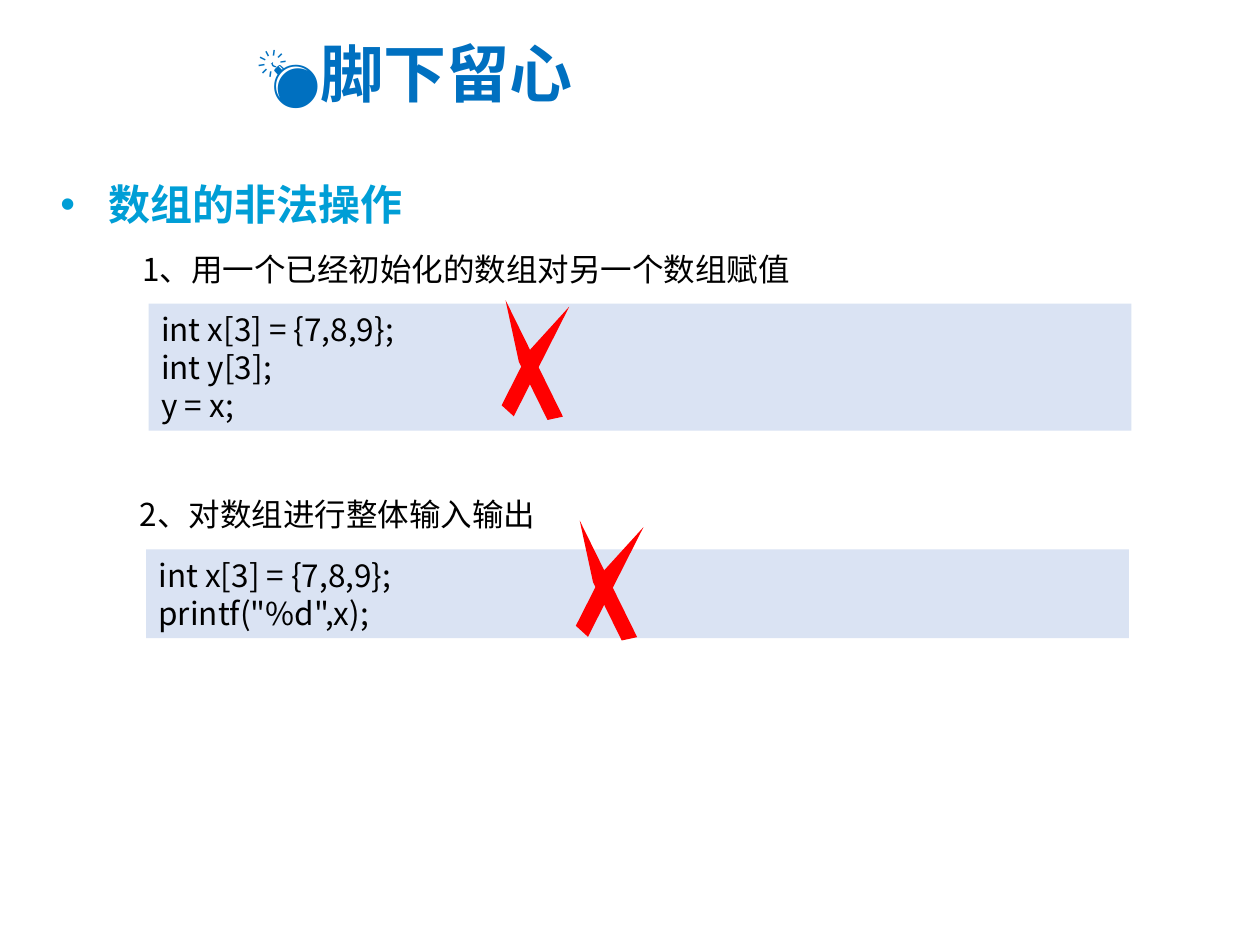
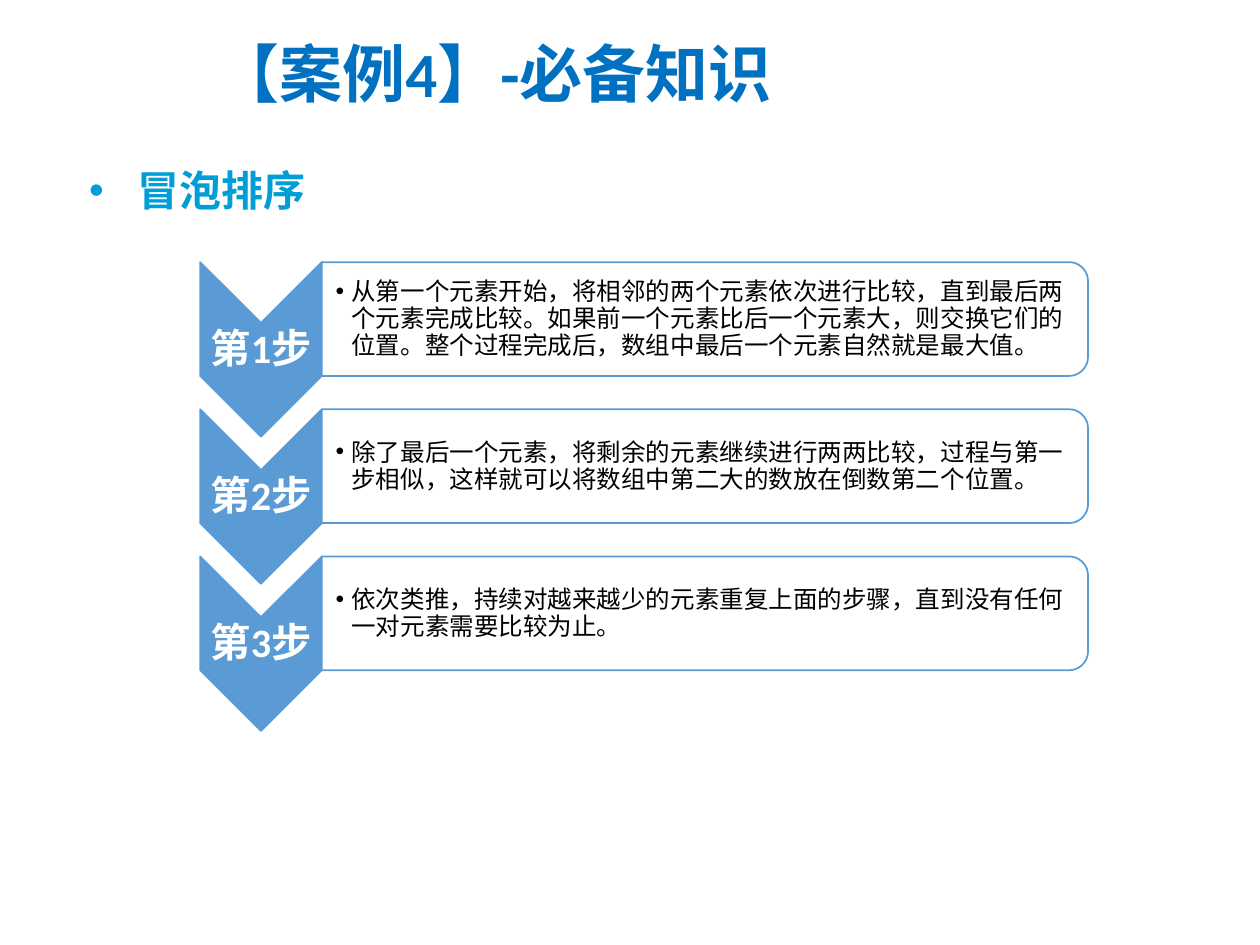
import math

from lxml import etree
from pptx import Presentation
from pptx.dml.color import RGBColor
from pptx.enum.shapes import MSO_SHAPE
from pptx.enum.text import MSO_ANCHOR, PP_ALIGN
from pptx.oxml.ns import qn
from pptx.util import Pt

RECT, STRIPE = MSO_SHAPE.RECTANGLE, MSO_SHAPE.DIAGONAL_STRIPE
TOP, MIDDLE = MSO_ANCHOR.TOP, MSO_ANCHOR.MIDDLE
LEFT, CENTER = PP_ALIGN.LEFT, PP_ALIGN.CENTER

CJK, LATIN = "Noto Sans CJK SC", "Calibri"
BLACK, WHITE, RED = "000000", "FFFFFF", "FF0000"
TITLE_BLUE, HEADING_BLUE = "0070C0", "009ED6"
CODE_FILL, STEP_BLUE = "DAE3F3", "5B9BD5"
INSETS = (7.2, 3.6, 7.2, 3.6)

STEPS = [
    ("第1步", "从第一个元素开始，将相邻的两个元素依次进行比较，直到最后两个元素完成比较。"
              "如果前一个元素比后一个元素大，则交换它们的位置。"
              "整个过程完成后，数组中最后一个元素自然就是最大值。"),
    ("第2步", "除了最后一个元素，将剩余的元素继续进行两两比较，过程与第一步相似，"
              "这样就可以将数组中第二大的数放在倒数第二个位置。"),
    ("第3步", "依次类推，持续对越来越少的元素重复上面的步骤，"
              "直到没有任何一对元素需要比较为止。"),
]


def color(hex_string):
    return RGBColor.from_string(hex_string)


def paint(shape, fill, line=None):
    shape.shadow.inherit = False
    shape.fill.solid()
    shape.fill.fore_color.rgb = color(fill)
    if line:
        shape.line.color.rgb = color(line)
        shape.line.width = Pt(1)
    else:
        shape.line.fill.background()


def write(shape, lines, size, ink, pitch, bold=False, latin=CJK, align=LEFT,
          anchor=TOP, margin=0, indent=0, bullet=False, insets=INSETS, wrap=True):
    """Fill a shape with one paragraph per line; pitch is the line height."""
    tf = shape.text_frame
    tf.word_wrap = wrap
    tf.vertical_anchor = anchor
    (tf.margin_left, tf.margin_top,
     tf.margin_right, tf.margin_bottom) = map(Pt, insets)
    for i, line in enumerate(lines):
        p = tf.add_paragraph() if i else tf.paragraphs[0]
        p.alignment = align
        p.line_spacing = Pt(pitch)
        pPr = p._p.get_or_add_pPr()
        pPr.set("marL", str(Pt(margin)))
        pPr.set("indent", str(Pt(indent)))
        if bullet:
            etree.SubElement(pPr, qn("a:buFont")).set("typeface", "Arial")
            etree.SubElement(pPr, qn("a:buChar")).set("char", "•")
        r = p.add_run()
        r.text = line
        r.font.size = Pt(size)
        r.font.bold = bold
        r.font.color.rgb = color(ink)
        r.font.name = latin
        r.font._element.find(qn("a:latin")).addnext(
            r.font._element.makeelement(qn("a:ea"), {"typeface": CJK}))


def add_box(s, x, y, w, h):
    return s.shapes.add_textbox(Pt(x), Pt(y), Pt(w), Pt(h))


def add_outline(s, points):
    points = [(Pt(x), Pt(y)) for x, y in points]
    builder = s.shapes.build_freeform(*points[0])
    builder.add_line_segments(points[1:], close=True)
    return builder.convert_to_shape()


# Shared title and bulleted heading
def add_title(s, text, x, w, latin=CJK):
    write(add_box(s, x, 10.8, w, 60.5), [text], 36, TITLE_BLUE, 44, bold=True,
          latin=latin, anchor=MIDDLE, margin=44.6, indent=-44.6)


def add_heading(s, text, x, y, w, h):
    write(add_box(s, x, y, w, h), [text], 24, HEADING_BLUE, 43.9, bold=True,
          margin=27.4, indent=-27.4, bullet=True, wrap=False)


# Red cross made of two diagonal stripes
def add_cross(s, x, y):
    for dx, dy, w, h, angle in ((6.3, 1.4, 67.7, 18.7, 312.3),
                                (0, 0, 72, 18, 257.8)):
        sp = s.shapes.add_shape(STRIPE, Pt(x + dx), Pt(y + dy), Pt(w), Pt(h))
        sp.rotation = angle
        paint(sp, RED)


# Caption, code block below it and the cross that rejects the code
def add_illegal_code(s, x, y, caption, code, cross_dx, cross_dy):
    write(add_box(s, x, y, 617, 28.8), [caption], 18, BLACK, 21.8, indent=36)
    sp = s.shapes.add_shape(RECT, Pt(x + 46.8), Pt(y + 34.5),
                            Pt(561.6), Pt(7.2 + 21.8 * len(code)))
    paint(sp, CODE_FILL)
    write(sp, code, 18, BLACK, 21.8)
    add_cross(s, x + cross_dx, y + cross_dy)


# One step: chevron pointing down, and a panel rounded on its right side
def add_step(s, x, y, label, text):
    chevron_w, panel_w, h, tip, radius = 69.5, 437.8, 65, 34.7, 10.8
    left, mid, right = x, x + chevron_w / 2, x + chevron_w
    sp = add_outline(s, [(right, y), (right, y + h), (mid, y + h + tip),
                         (left, y + h), (left, y), (mid, y + tip)])
    paint(sp, STEP_BLUE, STEP_BLUE)
    write(sp, [label], 23, WHITE, 25.2, bold=True, latin=LATIN, align=CENTER,
          anchor=MIDDLE, insets=(1.4, 36, 1.4, 36))

    corner_x = right + panel_w - radius
    arc = [math.radians(a) for a in range(0, 91, 10)]
    upper = [(corner_x + radius * math.sin(a), y + radius * (1 - math.cos(a)))
             for a in arc]
    lower = [(px, 2 * y + h - py) for px, py in reversed(upper)]
    sp = add_outline(s, [(right, y), *upper, *lower, (right, y + h)])
    paint(sp, WHITE, STEP_BLUE)
    clr = sp._element.spPr.find(qn("a:solidFill"))[0]
    etree.SubElement(clr, qn("a:alpha")).set("val", "90000")
    write(sp, [text], 14, BLACK, 15.4, anchor=MIDDLE, margin=9, indent=-9,
          bullet=True, insets=(7.9, 3.6, 3.6, 3.6))


def add_pitfalls_slide(s):
    add_title(s, "💣脚下留心", 139.7, 241.2)
    add_heading(s, "数组的非法操作", 27.4, 83.5, 212.4, 51.1)
    add_illegal_code(s, 38.2, 139, "1、用一个已经初始化的数组对另一个数组赋值",
                     ["int x[3] = {7,8,9};", "int y[3];", "y = x;"], 231.1, 56.8)
    add_illegal_code(s, 36.7, 279.4, "2、对数组进行整体输入输出",
                     ["int x[3] = {7,8,9};", 'printf("%d",x);'], 275, 42.4)


def add_bubble_sort_slide(s):
    add_title(s, "【案例4】-必备知识", 116.6, 405.4, LATIN)
    add_heading(s, "冒泡排序", 43.9, 75.6, 139, 45.4)
    for i, (label, text) in enumerate(STEPS):
        add_step(s, 114.4, 149.8 + i * 84.1, label, text)


def main():
    prs = Presentation()
    prs.slide_width, prs.slide_height = Pt(720), Pt(540)
    blank = prs.slide_layouts[6]
    for build in (add_pitfalls_slide, add_bubble_sort_slide):
        build(prs.slides.add_slide(blank))
    prs.save("out.pptx")


if __name__ == "__main__":
    main()
